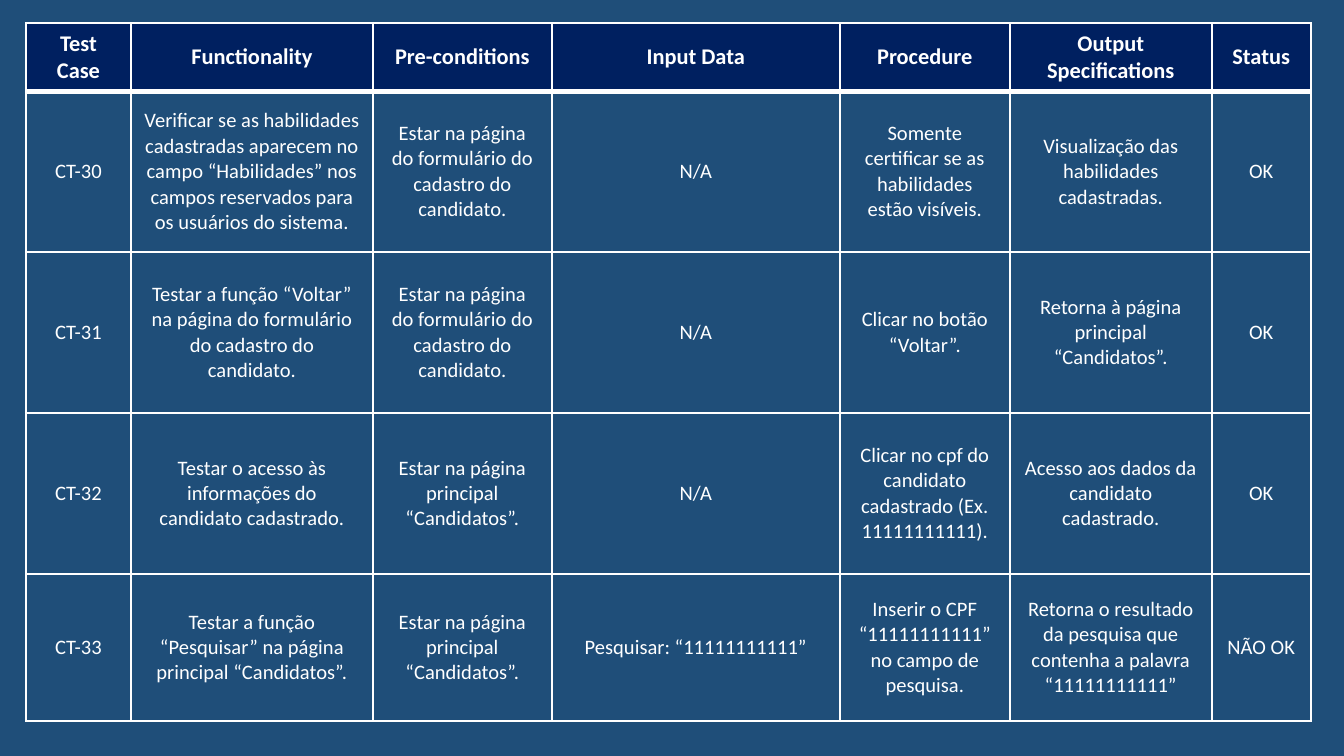
from dataclasses import dataclass

from lxml.etree import SubElement
from pptx import Presentation
from pptx.dml.color import RGBColor
from pptx.enum.text import MSO_ANCHOR as Anchor, PP_ALIGN as Align
from pptx.oxml.ns import qn
from pptx.util import Inches, Pt

SLIDE_WIDTH, SLIDE_HEIGHT = 1344, 756
SCALE = Inches(10) / SLIDE_WIDTH


@dataclass(frozen=True)
class Theme:
    background: str = "1F4E79"
    header: str = "002060"
    white: str = "FFFFFF"
    font: str = "Calibri"
    header_size: int = 12
    body_size: int = 11
    rule: int = 1
    header_rule: int = 3


THEME = Theme()

COLUMN_WIDTHS = [105, 242, 179, 288, 170, 202, 99]
ROW_HEIGHTS = [55, 161, 161, 161, 147]

FORM_PAGE = "Estar na página do formulário do cadastro do candidato."
MAIN_PAGE = "Estar na página principal “Candidatos”."

TEST_CASES = [
    ["Test Case", "Functionality", "Pre-conditions", "Input Data",
     "Procedure", "Output Specifications", "Status"],
    ["CT-30",
     "Verificar se as habilidades cadastradas aparecem no campo “Habilidades” "
     "nos campos reservados para os usuários do sistema.",
     FORM_PAGE, "N/A",
     "Somente certificar se as habilidades estão visíveis.",
     "Visualização das habilidades cadastradas.", "OK"],
    ["CT-31",
     "Testar a função “Voltar” na página do formulário do cadastro do candidato.",
     FORM_PAGE, "N/A",
     "Clicar no botão “Voltar”.",
     "Retorna à página principal “Candidatos”.", "OK"],
    ["CT-32",
     "Testar o acesso às informações do candidato cadastrado.",
     MAIN_PAGE, "N/A",
     "Clicar no cpf do candidato cadastrado (Ex. 11111111111).",
     "Acesso aos dados da candidato cadastrado.", "OK"],
    ["CT-33",
     "Testar a função “Pesquisar” na página principal “Candidatos”.",
     MAIN_PAGE, "Pesquisar: “11111111111”",
     "Inserir o CPF “11111111111” no campo de pesquisa.",
     "Retorna o resultado da pesquisa que contenha a palavra “11111111111”",
     "NÃO OK"],
]


def px(length):
    return round(length * SCALE)


def rgb(color):
    return RGBColor.from_string(color)


def set_borders(cell, top, bottom):
    """Draw the four white cell borders; call before the fill is set."""
    widths = {"L": THEME.rule, "R": THEME.rule, "T": top, "B": bottom}
    properties = cell._tc.get_or_add_tcPr()
    for side, width in widths.items():
        line = SubElement(properties, qn(f"a:ln{side}"), w=str(Pt(width)))
        fill = SubElement(line, qn("a:solidFill"))
        SubElement(fill, qn("a:srgbClr"), val=THEME.white)


def format_cell(cell, text, is_header):
    if is_header:
        cell.fill.solid()
        cell.fill.fore_color.rgb = rgb(THEME.header)
    else:
        cell.fill.background()
    cell.vertical_anchor = Anchor.MIDDLE
    cell.text_frame.text = text
    paragraph = cell.text_frame.paragraphs[0]
    paragraph.alignment = Align.CENTER
    font = paragraph.runs[0].font
    font.name = THEME.font
    font.size = Pt(THEME.header_size if is_header else THEME.body_size)
    font.bold = is_header
    font.color.rgb = rgb(THEME.white)


def add_test_table(slide, left, top):
    frame = slide.shapes.add_table(
        len(ROW_HEIGHTS), len(COLUMN_WIDTHS), px(left), px(top),
        px(sum(COLUMN_WIDTHS)), px(sum(ROW_HEIGHTS)))
    table = frame.table
    table.horz_banding = False
    for column, width in zip(table.columns, COLUMN_WIDTHS):
        column.width = px(width)
    for row, height in zip(table.rows, ROW_HEIGHTS):
        row.height = px(height)
    for r, test_case in enumerate(TEST_CASES):
        above = THEME.header_rule if r == 1 else THEME.rule
        below = THEME.header_rule if r == 0 else THEME.rule
        for c, text in enumerate(test_case):
            cell = table.cell(r, c)
            set_borders(cell, above, below)
            format_cell(cell, text, is_header=r == 0)


def main():
    deck = Presentation()
    deck.slide_width, deck.slide_height = px(SLIDE_WIDTH), px(SLIDE_HEIGHT)
    slide = deck.slides.add_slide(deck.slide_layouts[6])
    slide.background.fill.solid()
    slide.background.fill.fore_color.rgb = rgb(THEME.background)
    add_test_table(slide, left=26, top=23)
    deck.save("out.pptx")


if __name__ == "__main__":
    main()
